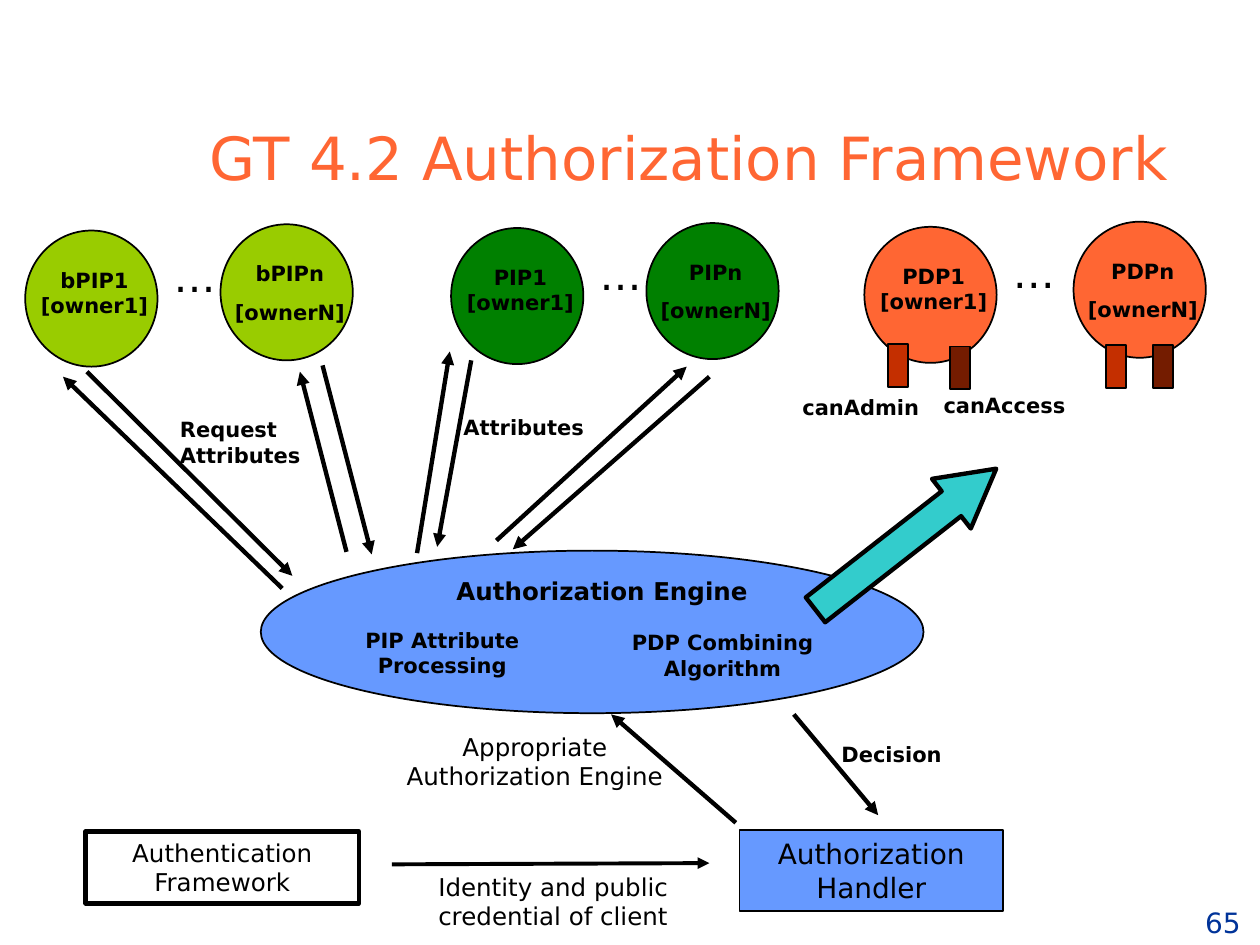
from lxml.etree import SubElement
from pptx import Presentation
from pptx.dml.color import RGBColor
from pptx.enum.shapes import MSO_CONNECTOR, MSO_SHAPE as SHAPE
from pptx.enum.text import MSO_ANCHOR as ANCHOR, MSO_AUTO_SIZE as AUTO_SIZE, PP_ALIGN as ALIGN
from pptx.oxml.ns import qn
from pptx.util import Pt

PX = 9144  # 100 px to the inch
FONT = "DejaVu Sans"
BLACK, BLUE, ORANGE = "000000", "6699FF", "FF6633"
LIME, GREEN, TEAL = "99CC00", "008000", "33CCCC"
ADMIN, ACCESS = "C42F00", "741C00"


def color(hex_string):
    return RGBColor.from_string(hex_string)


def emu(*lengths):
    return [length * PX for length in lengths]


def write(shape, text, size, bold=False, align=ALIGN.CENTER, ink=BLACK,
          anchor=ANCHOR.TOP, wrap=True):
    frame = shape.text_frame
    frame.text = text
    frame.word_wrap = wrap
    frame.auto_size = AUTO_SIZE.NONE
    frame.vertical_anchor = anchor
    for index, paragraph in enumerate(frame.paragraphs):
        paragraph.alignment = align
        if index:
            paragraph.space_before = Pt(7.5)
        for run in paragraph.runs:
            run.font.name = FONT
            run.font.size = Pt(size)
            run.font.bold = bold
            run.font.color.rgb = color(ink)


def add_label(shapes, box, text, size, **style):
    write(shapes.add_textbox(*emu(*box)), text, size, **style)


def add_outlined(shapes, kind, box, fill=None, weight=1):
    shape = shapes.add_shape(kind, *emu(*box))
    shape.shadow.inherit = False
    if fill:
        shape.fill.solid()
        shape.fill.fore_color.rgb = color(fill)
    else:
        shape.fill.background()
    shape.line.color.rgb = color(BLACK)
    shape.line.width = Pt(weight)
    return shape


def add_arrow(shapes, start, end, weight=2.5):
    arrow = shapes.add_connector(MSO_CONNECTOR.STRAIGHT, *emu(*start, *end))
    arrow.line.color.rgb = color(BLACK)
    arrow.line.width = Pt(weight)
    SubElement(arrow.line._get_or_add_ln(), qn("a:tailEnd"), type="triangle")
    SubElement(arrow._element.spPr, qn("a:effectLst"))


def add_title(slide, box, text):
    title = slide.shapes.title
    title.left, title.top, title.width, title.height = emu(*box)
    write(title, text, 34, ink=ORANGE, anchor=ANCHOR.BOTTOM)


def add_point(slide, left, top, text, fill, ports=()):
    """A policy point: a circle with its owner, and ports at its foot."""
    shapes = slide.shapes.add_group_shape().shapes
    add_outlined(shapes, SHAPE.OVAL, (left, top, 105, 108), fill)
    add_label(shapes, (left - 1, top + 24, 112, 61), text, 12, bold=True)
    for (x, y), port_fill in zip(ports, (ADMIN, ACCESS)):
        add_outlined(shapes, SHAPE.RECTANGLE, (left + x, top + y, 16, 34), port_fill)


def add_points(slide):
    for left, top, text, fill, ports in (
        (20, 183, "bPIP1 [owner1]", LIME, ()),
        (175, 178, "bPIPn\n[ownerN]", LIME, ()),
        (358, 181, "PIP1 [owner1]", GREEN, ()),
        (513, 177, "PIPn\n[ownerN]", GREEN, ()),
        (686, 180, "PDP1 [owner1]", ORANGE, ((19, 93), (68, 95))),
        (852, 176, "PDPn\n[ownerN]", ORANGE, ((26, 98), (63, 98))),
    ):
        add_point(slide, left, top, text, fill, ports)
    for left, top in ((128, 194), (466, 192), (794, 191)):
        add_label(slide.shapes, (left, top, 48, 50), "…", 24, align=ALIGN.LEFT)
    for left, top, text in ((627, 308, "canAdmin"), (739, 307, "canAccess")):
        add_label(slide.shapes, (left, top, 124, 30), text, 12, bold=True, align=ALIGN.LEFT)


def add_engine(slide, left, top, width, height):
    shapes = slide.shapes
    add_outlined(shapes, SHAPE.OVAL, (left, top, width, height), BLUE)
    for x, y, label_width, text, size in (
        (136, 15, 270, "Authorization Engine", 14),
        (62, 56, 164, "PIP Attribute Processing", 12),
        (283, 58, 167, "PDP Combining Algorithm", 12),
    ):
        add_label(shapes, (left + x, top + y, label_width, 50), text, size, bold=True)
    # Block arrow towards the decision points
    arrow = add_outlined(shapes, SHAPE.RIGHT_ARROW, (left + 421, top - 34, 182, 50), TEAL, 2.5)
    arrow.adjustments[0] = 0.5
    arrow.adjustments[1] = 0.903
    arrow.rotation = 322


def add_attribute_flow(slide):
    for start, end in (
        ((224, 467), (50, 299)), ((69, 295), (232, 457)),
        ((275, 438), (238, 295)), ((256, 290), (295, 440)),
        ((331, 439), (357, 279)), ((374, 286), (347, 434)),
        ((394, 429), (545, 291)), ((563, 299), (407, 436)),
    ):
        add_arrow(slide.shapes, start, end)
    for box, text in (
        ((133, 326, 122, 50), "Request Attributes"),
        ((358, 324, 116, 30), "Attributes"),
    ):
        add_label(slide.shapes, box, text, 12, bold=True, align=ALIGN.LEFT)


def add_handler_flow(slide):
    shapes = slide.shapes
    # Framework and handler boxes
    handler = add_outlined(shapes, SHAPE.RECTANGLE, (587, 659, 209, 64), BLUE)
    write(handler, "Authorization Handler", 16)
    framework = add_outlined(shapes, SHAPE.RECTANGLE, (68, 660, 217, 57), weight=2.5)
    write(framework, "Authentication Framework", 14)
    # Arrows between the boxes and the engine
    add_arrow(shapes, (311, 686), (563, 685), 2.25)
    add_arrow(shapes, (584, 653), (485, 567))
    add_arrow(shapes, (630, 567), (697, 647))
    # Arrow labels
    add_label(shapes, (338, 687, 208, 57), "Identity and public credential of client", 14,
              align=ALIGN.LEFT)
    add_label(shapes, (295, 576, 259, 57), "Appropriate Authorization Engine", 14)
    add_label(shapes, (658, 584, 100, 30), "Decision", 12, bold=True, align=ALIGN.LEFT)


def main():
    presentation = Presentation()
    presentation.slide_width, presentation.slide_height = emu(1000, 750)
    slide = presentation.slides.add_slide(presentation.slide_layouts[5])
    add_title(slide, (122, 75, 850, 83), "GT 4.2 Authorization Framework")
    add_engine(slide, 207, 437, 526, 129)
    add_handler_flow(slide)
    add_points(slide)
    add_attribute_flow(slide)
    # Page number
    add_label(slide.shapes, (906, 710, 129, 40), "65", 16, ink="003399",
              anchor=ANCHOR.BOTTOM, wrap=False)
    presentation.save("out.pptx")


if __name__ == "__main__":
    main()
